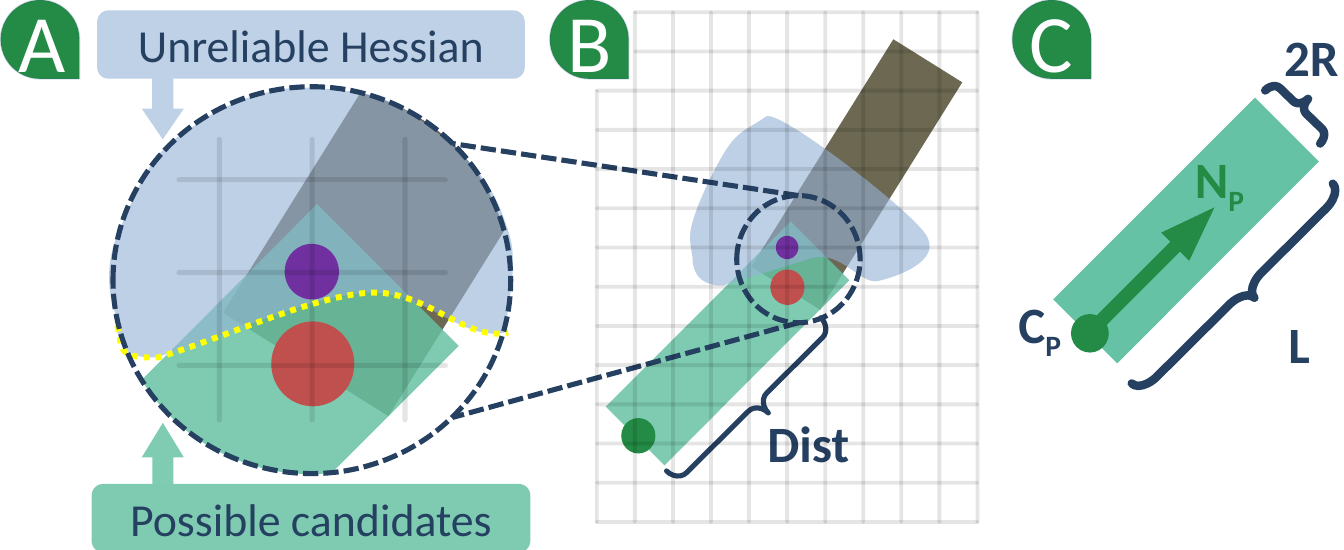
"""Draw the slide on unreliable Hessian regions and candidate rectangles."""
from lxml import etree
from pptx import Presentation
from pptx.dml.color import RGBColor
from pptx.enum import dml, shapes, text
from pptx.oxml.ns import qn
from pptx.util import Pt

FONT = "Calibri"
COLOURS = {
    "navy": "254061", "green": "238B45", "mint": "66C2A4", "blue": "95B3D7",
    "beam": "4A452A", "red": "C0504D", "purple": "7030A0", "yellow": "FFFF00",
    "white": "FFFFFF", "black": "000000", "rim": "3A5F8C", "tick": "4B7EBC",
    "pale blue": "BFD1E7", "pale mint": "7FCCB3",
}
KIND = shapes.MSO_SHAPE
DASH = dml.MSO_LINE.SQUARE_DOT
DOTS = dml.MSO_LINE.ROUND_DOT

REGION = ((902.2, 137.5), [
    (887.8, 149, 871.9, 152.6, 858.2, 172.8),
    (843.8, 193.7, 823, 237.6, 816.5, 260.6),
    (809.3, 283.7, 816.5, 293.8, 816.5, 310.3),
    (819.4, 326.9, 830.2, 337, 852.5, 336.2),
    (955.4, 304.6),
    (991.4, 293.8, 1013, 335.5, 1034.6, 331.2),
    (1056.2, 326.2, 1112.4, 307.4, 1090.8, 275.8),
    (1068.5, 243.4, 915.1, 126.7, 902.9, 137.5)])
EDGE = [
    (265.7, 396, 362.2, 349.9, 430.6, 344.9),
    (499.7, 340.6, 543.6, 403.2, 595.4, 391.7)]
ZOOM_REGION = ((282.2, 118.1), [
    (275.8, 122.4, 257, 128.9, 240.5, 140.4),
    (224.6, 151.9, 202.3, 162.7, 184.3, 185.8),
    (166.3, 208.8, 147.6, 254.9, 136.8, 280.8),
    (126.7, 306.7, 126, 339.1, 133.9, 362.9),
    (141.1, 385.9, 128.9, 422.6, 183.6, 421.2),
    *EDGE,
    (596.9, 365.8, 611.3, 312.5, 600.5, 277.2),
    (589.7, 241.2, 578.9, 219.6, 555.8, 193.7),
    (532.1, 167.8, 490.3, 134.6, 461.5, 121),
    (433.4, 106.6, 403.9, 107.3, 382.3, 104.4),
    (360.7, 101.5, 340.6, 105.1, 331.2, 104.4)])
ZOOM_BEAM = ((424.8, 109.4), [
    (507.6, 129.6, 572.4, 192.2, 594, 272.2), (457.9, 490.3), (262.8, 368.6)])
ZOOM_CANDIDATE = ((373.7, 240.5), [
    (540.7, 407.5), (391, 557.3),
    (383, 558, 375.8, 558.7, 367.9, 558.7),
    (282.2, 558.7, 207.4, 514.1, 167, 447.8)])
ZOOM_BOUNDARY = ((134.6, 383.7), [(142.6, 407.5, 128.9, 422.6, 182.9, 421.2), *EDGE])


def rgb(colour):
    """Return the named colour."""
    return RGBColor.from_string(COLOURS[colour])


def fade(parent, opacity):
    """Give the solid fill inside parent an opacity in percent."""
    if opacity < 100:
        colour = parent.find(qn("a:solidFill"))[0]
        etree.SubElement(colour, qn("a:alpha")).set("val", str(opacity * 1000))


def stroke(shape, colour, width, dash=None, opacity=100):
    """Style the line of a shape or connector, with round ends when solid."""
    shape.line.color.rgb = rgb(colour)
    shape.line.width = Pt(width)
    outline = shape.element.spPr.find(qn("a:ln"))
    if dash:
        shape.line.dash_style = dash
    else:
        outline.set("cap", "rnd")
    fade(outline, opacity)


def paint(shape, colour, opacity=100):
    """Fill a shape, or leave it hollow, without line and shadow."""
    shape.shadow.inherit = False
    shape.line.fill.background()
    if colour:
        shape.fill.solid()
        shape.fill.fore_color.rgb = rgb(colour)
        fade(shape.element.spPr, opacity)
    else:
        shape.fill.background()


def add_preset(page, kind, place, colour=None, opacity=100, turn=0, adjust=()):
    """Add a preset shape at (left, top, width, height)."""
    shape = page.shapes.add_shape(kind, *map(Pt, place))
    for index, value in enumerate(adjust):
        shape.adjustments[index] = value
    shape.rotation = turn
    paint(shape, colour, opacity)
    return shape


def add_outline(page, outline, colour=None, opacity=100, close=True):
    """Add a freeform of straight and Bezier steps."""
    start, steps = outline
    builder = page.shapes.build_freeform(*map(Pt, start))
    builder.add_line_segments([tuple(map(Pt, step[-2:])) for step in steps], close=close)
    shape = builder.convert_to_shape()
    for step, segment in zip(steps, list(shape.element.iter(qn("a:lnTo")))):
        if len(step) == 6:
            segment.tag = qn("a:cubicBezTo")
            controls = zip(step[:4:2], step[1:4:2])
            for index, (x, y) in enumerate(controls):
                node = etree.Element(qn("a:pt"))
                node.set("x", str(Pt(x) - shape.left))
                node.set("y", str(Pt(y) - shape.top))
                segment.insert(index, node)
    paint(shape, colour, opacity)
    return shape


def add_line(holder, ends, colour, width, dash=None, opacity=100):
    """Add a straight line from (x1, y1) to (x2, y2)."""
    line = holder.shapes.add_connector(shapes.MSO_CONNECTOR.STRAIGHT, *map(Pt, ends))
    stroke(line, colour, width, dash, opacity)
    etree.SubElement(line.element.spPr, qn("a:effectLst"))


def add_grid(page, columns, rows, width):
    """Add grouped faint lines: columns as (x, top, bottom), rows as (y, left, right)."""
    grid = page.shapes.add_group_shape()
    for x, top, bottom in columns:
        add_line(grid, (x, top, x, bottom), "black", width, opacity=10)
    for y, left, right in rows:
        add_line(grid, (left, y, right, y), "black", width, opacity=10)


def add_brace(page, place, turn, width, bend):
    """Add a turned curly brace."""
    brace = add_preset(page, KIND.LEFT_BRACE, place, turn=turn, adjust=(bend, 0.52))
    stroke(brace, "navy", width)


def add_ring(page, place):
    """Add a dashed lens outline."""
    stroke(add_preset(page, KIND.OVAL, place), "navy", 6, DASH)


def style_span(span, size, colour, bold=False):
    """Set the font of a run."""
    span.font.name = FONT
    span.font.size = Pt(size)
    span.font.bold = bold
    span.font.color.rgb = rgb(colour)


def write_centred(shape, words, size, colour):
    """Write one centred line in a shape."""
    frame = shape.text_frame
    frame.text = words
    frame.vertical_anchor = text.MSO_ANCHOR.MIDDLE
    para = frame.paragraphs[0]
    para.alignment = text.PP_ALIGN.CENTER
    style_span(para.runs[0], size, colour)


def add_badge(page, letter, left):
    """Add a teardrop with a panel letter."""
    badge = add_preset(page, KIND.TEAR, (left, 0, 92.9, 92.9), "green", turn=90)
    stroke(badge, "rim", 2, opacity=19)
    write_centred(badge, letter, 96, "white")
    badge.text_frame._txBody.bodyPr.set("vert", "vert270")


def add_symbol(page, words, place, colour="navy", subscript=""):
    """Add a bold symbol at (left, top, width) with an optional subscript."""
    box = page.shapes.add_textbox(*map(Pt, (*place, 73)))
    frame = box.text_frame
    frame.word_wrap = True
    frame.margin_left = frame.margin_right = frame.margin_top = frame.margin_bottom = 0
    frame.text = words
    para = frame.paragraphs[0]
    if subscript:
        span = para.add_run()
        span.text = subscript
        span._r.get_or_add_rPr().set("baseline", "-25000")
    for span in para.runs:
        style_span(span, 60, colour, bold=True)


def draw_model(page):
    """Draw panel C, the rectangle model."""
    add_preset(page, KIND.RECTANGLE, (1229.8, 218.2, 336.2, 106.6), "mint", turn=315)
    add_preset(page, KIND.RIGHT_ARROW, (1252, 295.2, 210.2, 46.8), "green",
               turn=315, adjust=(0.35, 1.4))
    add_brace(page, (1447.9, 177.8, 30.2, 334), 225.2, 10, 0.88)
    add_brace(page, (1519.2, 82.8, 28, 90), 134, 10, 0.37)
    add_symbol(page, "L", (1518.5, 368, 40))
    add_symbol(page, "2R", (1513.4, 30.2, 70))
    add_symbol(page, "N", (1408.3, 174.2, 98), "green", "P")
    add_preset(page, KIND.OVAL, (1262.2, 370, 44.6, 45.4), "green")
    add_symbol(page, "C", (1200.2, 344.9, 62), subscript="P")
    add_badge(page, "C", 1193)


def draw_overview(page):
    """Draw the shapes of panel B."""
    add_preset(page, KIND.RECTANGLE, (851.8, 157.7, 316, 95.8), "beam", 81, 302)
    add_preset(page, KIND.RECTANGLE, (703.4, 355.7, 308.2, 97.9), "mint", 84, 315)
    add_preset(page, KIND.OVAL, (732.2, 492.5, 40.3, 41.8), "green")
    add_preset(page, KIND.OVAL, (907.9, 317.5, 40.3, 41.8), "red")
    add_outline(page, REGION, "blue", 61)
    add_line(page, (974.2, 219.6, 973.4, 218.9), "tick", 0.75)
    add_preset(page, KIND.OVAL, (914.4, 277.9, 26.6, 27.4), "purple")


def draw_zoom(page):
    """Draw panel A, the enlarged lens."""
    add_badge(page, "A", 0.7)
    for words, place, colour, opacity in (
            ("Unreliable Hessian", (114.5, 12.2, 504, 80.6), "blue", 60),
            ("Possible candidates", (108, 570.2, 517, 80.6), "mint", 84)):
        label = add_preset(page, KIND.ROUNDED_RECTANGLE, place, colour, opacity)
        write_centred(label, words, 54, "navy")
    add_outline(page, ZOOM_BEAM, "beam", 81)
    add_outline(page, ZOOM_CANDIDATE, "mint", 84)
    add_outline(page, ZOOM_REGION, "blue", 61)
    add_line(page, (475.9, 140.4, 474.5, 139.7), "tick", 0.75)
    add_preset(page, KIND.OVAL, (335.5, 287.3, 64, 65.5), "purple")
    add_preset(page, KIND.OVAL, (319.7, 378.7, 97.9, 100), "red")
    steps = [109.4 * index for index in range(3)]
    add_grid(page, [(258.5 + step, 164.2, 494.6) for step in steps],
             [(211.7 + step, 211, 524.9) for step in steps], 6)
    boundary = add_outline(page, ZOOM_BOUNDARY, close=False)
    boundary.left += Pt(3.6)
    stroke(boundary, "yellow", 7, DOTS)
    add_ring(page, (133.2, 102.2, 468.7, 455.8))
    for kind_top, colour, turn, head in ((92.2, "pale blue", 0, 0.73),
                                         (498.2, "pale mint", 180, 0.82)):
        add_preset(page, KIND.DOWN_ARROW, (167, kind_top, 49.7, 72), colour,
                   turn=turn, adjust=(0.5, head))


def draw_links(page):
    """Draw the lens links, the distance and the grid of panel B."""
    add_brace(page, (871.2, 349.2, 36, 256.3), 225.2, 6, 0.42)
    add_ring(page, (868.3, 230.4, 145.4, 149.8))
    add_line(page, (941, 230.4, 533.5, 169.2), "navy", 6, DASH)
    add_line(page, (941, 380.2, 533.5, 491.8), "navy", 6, DASH)
    add_badge(page, "B", 648)
    add_symbol(page, "Dist", (904.3, 485.3, 107))
    xs = [703.4 + 44.86 * index for index in range(11)]
    ys = [14.4 + 46.2 * index for index in range(14)]
    add_grid(page, [(x, ys[0 if index else 2], ys[-1]) for index, x in enumerate(xs)],
             [(y, xs[1 if index < 2 else 0], xs[-1]) for index, y in enumerate(ys)], 4.5)


def main():
    """Build and save the deck."""
    deck = Presentation()
    deck.slide_width, deck.slide_height = Pt(1584), Pt(648)
    page = deck.slides.add_slide(deck.slide_layouts[6])
    for draw in (draw_model, draw_overview, draw_zoom, draw_links):
        draw(page)
    deck.save("out.pptx")


main()
